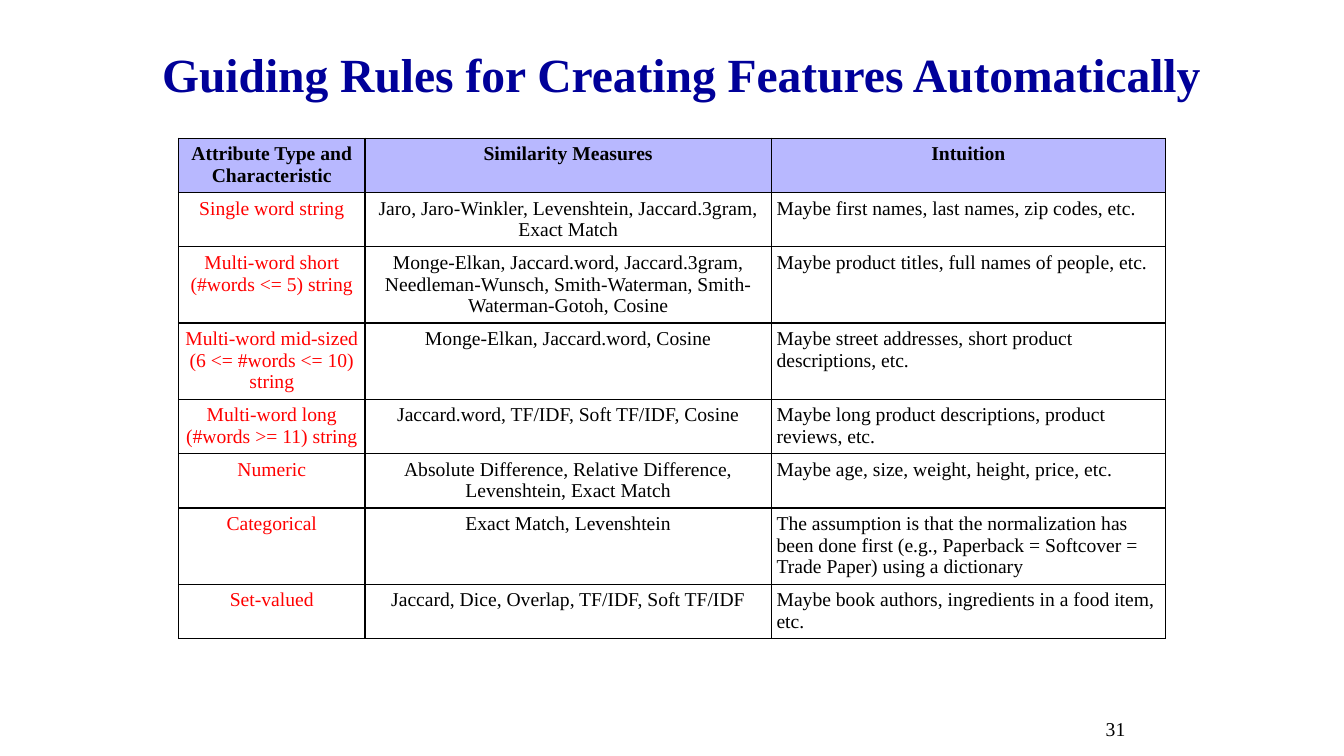
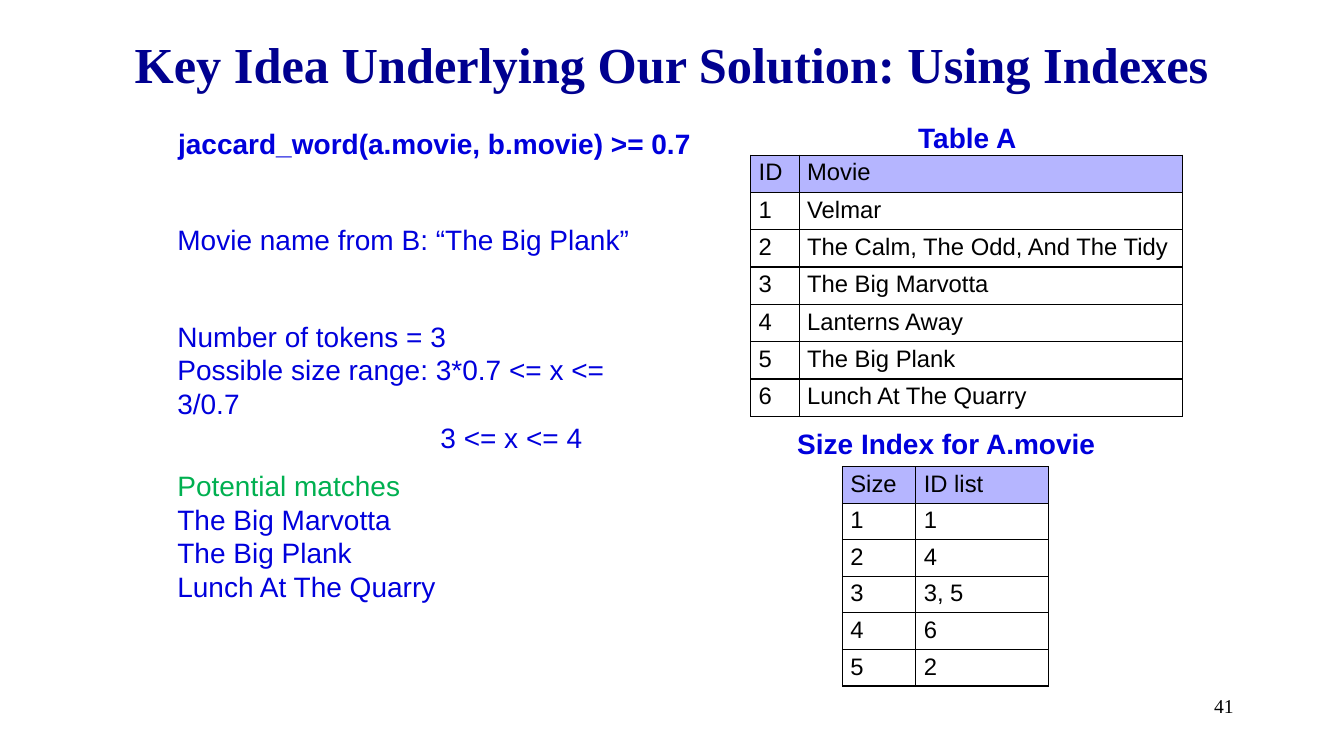
import dataclasses

import lxml.etree
import pptx
import pptx.dml.color
import pptx.enum.text
import pptx.oxml.ns
import pptx.util

Cm = pptx.util.Cm
ALIGN = pptx.enum.text.PP_ALIGN
ANCHOR = pptx.enum.text.MSO_ANCHOR


@dataclasses.dataclass(frozen=True)
class Theme:
    serif: str = "Times New Roman"
    sans: str = "Arial"
    black: str = "000000"
    white: str = "FFFFFF"
    navy: str = "000099"
    deep_navy: str = "000090"
    blue: str = "0000DC"
    red: str = "FF0000"
    green: str = "00B050"
    lilac: str = "B8B8FF"
    soft_lilac: str = "B5B5FF"
    title_size: int = 36
    long_title_size: int = 34
    body_size: int = 20
    cell_size: int = 17
    small_size: int = 14
    border: float = 1


THEME = Theme()


def rgb(color):
    return pptx.dml.color.RGBColor.from_string(color)


class Deck:
    """Holds the presentation, its theme and the current slide."""

    def __init__(self, theme):
        self.t = theme
        self.prs = pptx.Presentation()
        self.prs.slide_width, self.prs.slide_height = Cm(33.87), Cm(19.05)
        self.s = None

    def run(self, p, text, font, size, color, bold=False):
        r = p.add_run()
        r.text = text
        r.font.name, r.font.size = font, pptx.util.Pt(size)
        r.font.color.rgb, r.font.bold = rgb(color), bold

    def slide(self, title, box, size, color):
        """Add a title-only slide and format its title."""
        self.s = self.prs.slides.add_slide(self.prs.slide_layouts[5])
        sp = self.s.shapes.title
        sp.left, sp.top, sp.width, sp.height = map(Cm, box)
        tf = sp.text_frame
        tf.auto_size = pptx.enum.text.MSO_AUTO_SIZE.NONE
        tf.vertical_anchor = ANCHOR.MIDDLE
        p = tf.paragraphs[0]
        p.alignment = ALIGN.CENTER
        self.run(p, title, self.t.serif, size, color, True)

    def frame(self, box):
        tf = self.s.shapes.add_textbox(*map(Cm, box)).text_frame
        tf.word_wrap = True
        return tf

    def text(self, box, lines, bold=False):
        """Add lines given as (text, colour, left indent in cm)."""
        tf = self.frame(box)
        for i, (text, color, indent) in enumerate(lines):
            p = tf.add_paragraph() if i else tf.paragraphs[0]
            if indent:
                p._p.get_or_add_pPr().set("marL", str(Cm(indent)))
            self.run(p, text, self.t.sans, self.t.body_size, color, bold)

    def heading(self, left, top, width, text):
        self.text((left, top, width, 1.12), [(text, self.t.blue, 0)], True)

    def number(self, box, text):
        p = self.frame(box).paragraphs[0]
        p.alignment = ALIGN.RIGHT
        self.run(p, text, self.t.serif, self.t.small_size, self.t.black)

    def borders(self, cell):
        tag = pptx.oxml.ns.qn
        for i, side in enumerate(("a:lnL", "a:lnR", "a:lnT", "a:lnB")):
            ln = lxml.etree.Element(tag(side), w=str(pptx.util.Pt(self.t.border)))
            fill = lxml.etree.SubElement(ln, tag("a:solidFill"))
            lxml.etree.SubElement(fill, tag("a:srgbClr"), val=self.t.black)
            cell._tc.get_or_add_tcPr().insert(i, ln)

    def table(self, left, top, widths, heights, rows, head, margins, font, size,
              head_bold=False, aligns=None, first_color=None):
        """Add a bordered table; aligns and first_color style the body columns."""
        tb = self.s.shapes.add_table(
            len(rows), len(widths), Cm(left), Cm(top),
            Cm(sum(widths)), Cm(sum(heights))).table
        tb.first_row = tb.horz_banding = False
        for column, width in zip(tb.columns, widths):
            column.width = Cm(width)
        for i, (row, height) in enumerate(zip(rows, heights)):
            tb.rows[i].height = Cm(height)
            for j, text in enumerate(row):
                cell = tb.cell(i, j)
                cell.margin_left = cell.margin_right = Cm(margins[0])
                cell.margin_top = cell.margin_bottom = Cm(margins[1])
                cell.fill.solid()
                cell.fill.fore_color.rgb = rgb(self.t.white if i else head)
                self.borders(cell)
                p = cell.text_frame.paragraphs[0]
                if aligns:
                    p.alignment = aligns[j] if i else ALIGN.CENTER
                color = first_color if first_color and i and j == 0 else self.t.black
                self.run(p, text, font, size, color, head_bold and i == 0)


def feature_rules(deck):
    t = deck.t
    deck.slide("Guiding Rules for Creating Features Automatically",
               (2.51, 0.94, 29.34, 1.8), t.long_title_size, t.navy)
    rows = [
        ("Attribute Type and Characteristic", "Similarity Measures", "Intuition"),
        ("Single word string",
         "Jaro, Jaro-Winkler, Levenshtein, Jaccard.3gram, Exact Match",
         "Maybe first names, last names, zip codes, etc."),
        ("Multi-word short (#words <= 5) string",
         "Monge-Elkan, Jaccard.word, Jaccard.3gram, Needleman-Wunsch, "
         "Smith-Waterman, Smith-Waterman-Gotoh, Cosine",
         "Maybe product titles, full names of people, etc."),
        ("Multi-word mid-sized (6 <= #words <= 10) string",
         "Monge-Elkan, Jaccard.word, Cosine",
         "Maybe street addresses, short product descriptions, etc."),
        ("Multi-word long (#words >= 11) string",
         "Jaccard.word, TF/IDF, Soft TF/IDF, Cosine",
         "Maybe long product descriptions, product reviews, etc."),
        ("Numeric",
         "Absolute Difference, Relative Difference, Levenshtein, Exact Match",
         "Maybe age, size, weight, height, price, etc."),
        ("Categorical", "Exact Match, Levenshtein",
         "The assumption is that the normalization has been done first "
         "(e.g., Paperback = Softcover = Trade Paper) using a dictionary"),
        ("Set-valued", "Jaccard, Dice, Overlap, TF/IDF, Soft TF/IDF",
         "Maybe book authors, ingredients in a food item, etc."),
    ]
    # Row heights follow the number of text lines
    row_height = {2: 1.37, 3: 1.92}
    heights = [row_height[n] for n in (2, 2, 3, 3, 2, 2, 3, 2)]
    deck.table(4.5, 3.48, (4.7, 10.24, 9.93), heights, rows, t.lilac,
               (0.13, 0.13), t.serif, t.small_size, head_bold=True,
               aligns=(ALIGN.CENTER, ALIGN.CENTER, ALIGN.LEFT),
               first_color=t.red)
    deck.number((22.89, 17.93, 5.72, 0.76), "31")


def size_index(deck):
    t = deck.t
    deck.slide("Key Idea Underlying Our Solution: Using Indexes",
               (2.54, 0.64, 28.78, 1.9), t.title_size, t.deep_navy)
    movies = ("Velmar", "The Calm, The Odd, And The Tidy", "The Big Marvotta",
              "Lanterns Away", "The Big Plank", "Lunch At The Quarry")
    id_lists = ("1", "4", "3, 5", "6", "2")

    # Worked example on the left
    deck.heading(4.24, 3.07, 13.51, "jaccard_word(a.movie, b.movie) >= 0.7")
    deck.text((4.22, 5.49, 12.2, 1.96),
              [(f"Movie name from B: “{movies[4]}”", t.blue, 0)])
    deck.text((4.22, 7.92, 12.95, 2.82), [
        ("Number of tokens = 3", t.blue, 0),
        ("Possible size range: 3*0.7 <= x <= 3/0.7", t.blue, 0),
        ("3 <= x <= 4", t.blue, 6.63)])
    matches = [(movies[i], t.blue, 0) for i in (2, 4, 5)]
    deck.text((4.22, 11.68, 7.47, 3.68),
              [("Potential matches", t.green, 0)] + matches)

    # Movie table and its size index on the right
    for heading, left, top, widths, height, head, values in (
            (("Table A", 22.89, 2.92, 3.2), 18.92, 3.91, (1.22, 9.66), 0.94,
             ("ID", "Movie"), movies),
            (("Size Index for A.movie", 19.84, 10.62, 8.2), 21.23, 11.76,
             (1.85, 3.35), 0.92, ("Size", "ID list"), id_lists)):
        deck.heading(*heading[1:], heading[0])
        rows = [head] + [(str(n), v) for n, v in enumerate(values, 1)]
        deck.table(left, top, widths, [height] * len(rows), rows, t.soft_lilac,
                   (0.2, 0.1), t.sans, t.cell_size)
    deck.number((24.28, 17.35, 7.06, 1.27), "41")


def main():
    deck = Deck(THEME)
    feature_rules(deck)
    size_index(deck)
    deck.prs.save("out.pptx")


if __name__ == "__main__":
    main()
